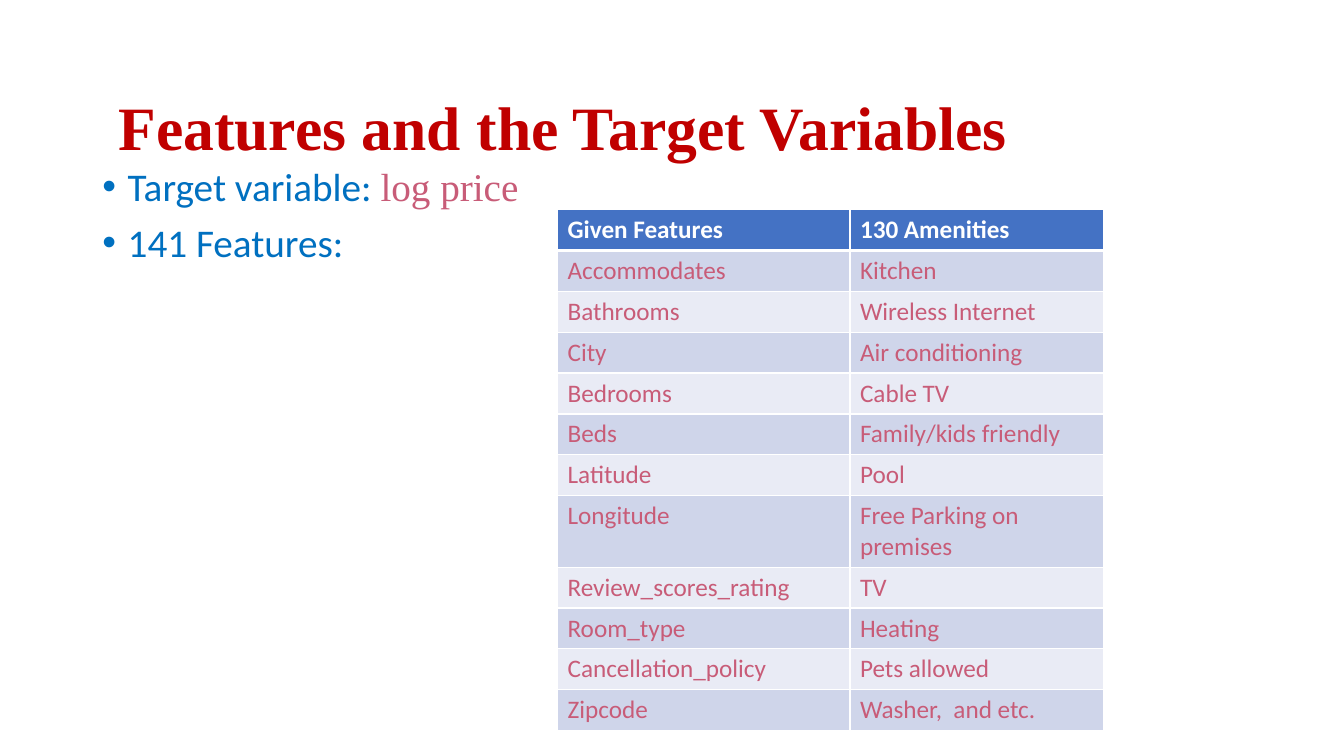
from lxml import etree
from pptx import Presentation
from pptx.dml.color import RGBColor
from pptx.enum.text import MSO_ANCHOR
from pptx.oxml.ns import qn
from pptx.util import Cm, Pt

MIDDLE, TOP = MSO_ANCHOR.MIDDLE, MSO_ANCHOR.TOP
SANS, SERIF = "Calibri", "Times New Roman"
RED, BLUE, ROSE, WHITE = "C00000", "0070C0", "C85C78", "FFFFFF"
HEADER_FILL, BAND_FILLS = "4472C4", ("CFD5EA", "E9EBF5")

# Content
TITLE = "Features and the Target Variables"
BULLETS = [
    [("Target variable: ", SANS, BLUE), ("log price", SERIF, ROSE)],
    [("141 Features:", SANS, BLUE)],
]
FEATURES = [
    ("Given Features", "130 Amenities"),
    ("Accommodates", "Kitchen"),
    ("Bathrooms", "Wireless Internet"),
    ("City", "Air conditioning"),
    ("Bedrooms", "Cable TV"),
    ("Beds", "Family/kids friendly"),
    ("Latitude", "Pool"),
    ("Longitude", "Free Parking on premises"),
    ("Review_scores_rating", "TV"),
    ("Room_type", "Heating"),
    ("Cancellation_policy", "Pets allowed"),
    ("Zipcode", "Washer,  and etc."),
]
COLUMN_WIDTHS = (Cm(7.37), Cm(6.38))
ROW_HEIGHT, WRAPPED_HEIGHT, WRAPPED_ROW = Cm(1.03), Cm(1.8), 7


def color(value):
    return RGBColor.from_string(value)


def style(font, name, size, value, bold=False):
    font.name, font.size, font.bold = name, Pt(size), bold
    font.color.rgb = color(value)


def add_text_frame(page, left, top, width, height, anchor):
    box = page.shapes.add_textbox(Cm(left), Cm(top), Cm(width), Cm(height))
    frame = box.text_frame
    frame.word_wrap, frame.vertical_anchor = True, anchor
    return frame


def add_bullet(para):
    properties = para._p.get_or_add_pPr()
    properties.set("marL", str(Cm(0.64)))
    properties.set("indent", str(-Cm(0.64)))
    etree.SubElement(properties, qn("a:buFont")).set("typeface", "Arial")
    etree.SubElement(properties, qn("a:buChar")).set("char", "•")


def add_border(cell, side, width):
    line = etree.SubElement(cell._tc.get_or_add_tcPr(), qn("a:ln" + side))
    line.set("w", str(Pt(width)))
    fill = etree.SubElement(line, qn("a:solidFill"))
    etree.SubElement(fill, qn("a:srgbClr")).set("val", WHITE)


deck = Presentation()
deck.slide_width, deck.slide_height = Cm(33.87), Cm(19.05)
page = deck.slides.add_slide(deck.slide_layouts[6])

# Bullets
frame = add_text_frame(page, 2.33, 4.09, 29.21, 12.09, TOP)
for index, spans in enumerate(BULLETS):
    para = frame.add_paragraph() if index else frame.paragraphs[0]
    para.line_spacing, para.space_before = 0.9, Pt(10)
    add_bullet(para)
    for text, name, value in spans:
        span = para.add_run()
        span.text = text
        style(span.font, name, 28, value)

# Feature table
height = ROW_HEIGHT * (len(FEATURES) - 1) + WRAPPED_HEIGHT
table = page.shapes.add_table(len(FEATURES), len(COLUMN_WIDTHS), Cm(14.05), Cm(5.28),
                              sum(COLUMN_WIDTHS), height).table
for column, width in zip(table.columns, COLUMN_WIDTHS):
    column.width = width
for index, texts in enumerate(FEATURES):
    header = index == 0
    table.rows[index].height = WRAPPED_HEIGHT if index == WRAPPED_ROW else ROW_HEIGHT
    for cell, text in zip(table.rows[index].cells, texts):
        cell.text = text
        style(cell.text_frame.paragraphs[0].font, SANS, 18, WHITE if header else ROSE, header)
        # The rule under the header is thicker than the others
        for side in "LRTB":
            thick = (index, side) in ((0, "B"), (1, "T"))
            add_border(cell, side, 3 if thick else 1)
        cell.fill.solid()
        cell.fill.fore_color.rgb = color(HEADER_FILL if header else BAND_FILLS[(index - 1) % 2])

# Title
para = add_text_frame(page, 2.74, 1.45, 29.21, 3.68, MIDDLE).paragraphs[0]
para.text, para.line_spacing = TITLE, 0.9
style(para.font, SERIF, 44, RED, True)

deck.save("out.pptx")
